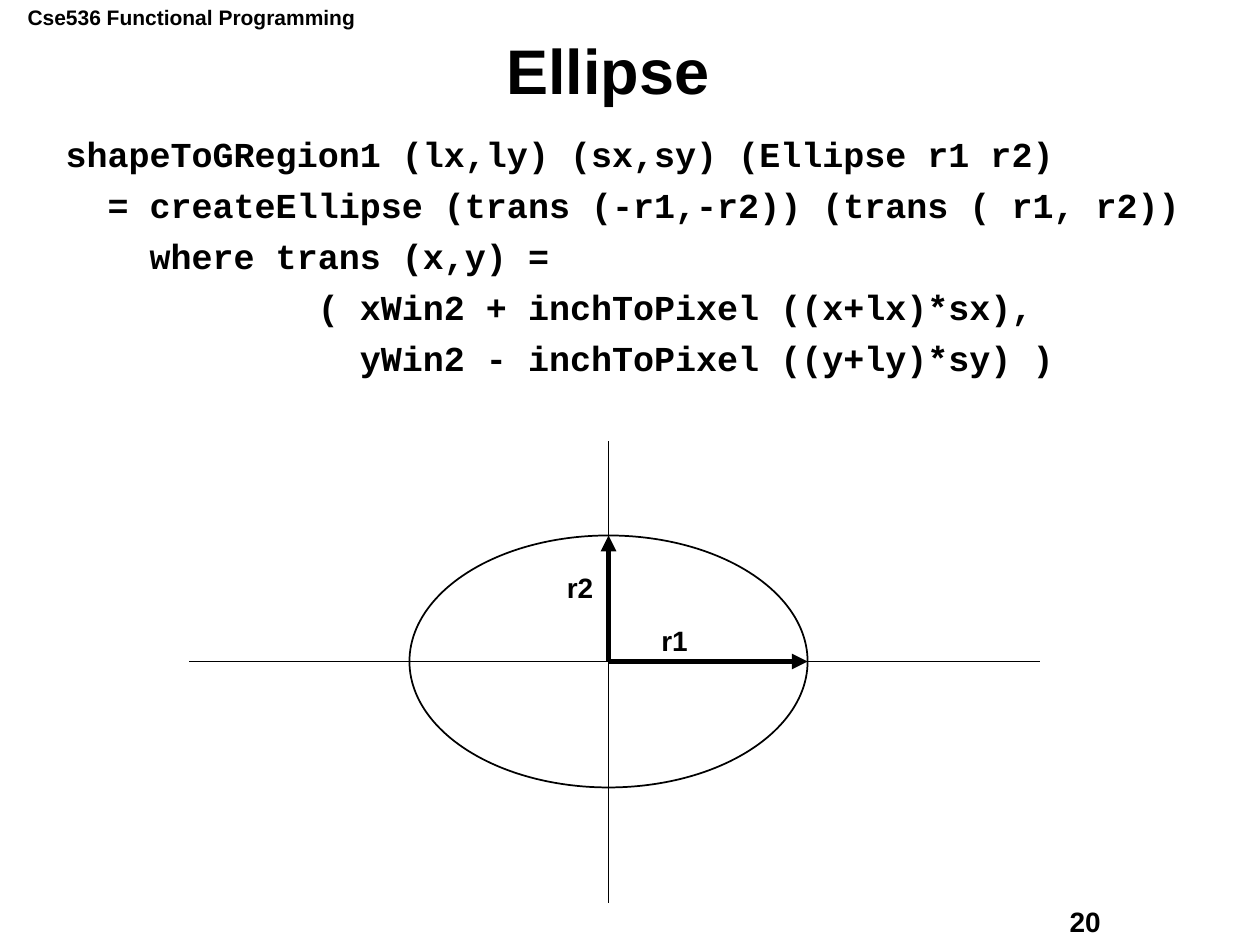
from lxml.etree import SubElement
from pptx import Presentation
from pptx.dml.color import RGBColor
from pptx.enum.shapes import MSO_CONNECTOR, MSO_SHAPE
from pptx.enum.text import MSO_ANCHOR, MSO_AUTO_SIZE, PP_ALIGN
from pptx.oxml.ns import qn
from pptx.util import Inches, Pt

BLACK = RGBColor(0, 0, 0)
CODE = [
    "shapeToGRegion1 (lx,ly) (sx,sy) (Ellipse r1 r2)",
    "  = createEllipse (trans (-r1,-r2)) (trans ( r1, r2))",
    "    where trans (x,y) =",
    "            ( xWin2 + inchToPixel ((x+lx)*sx),",
    "              yWin2 - inchToPixel ((y+ly)*sy) )",
]
CENTER_X, CENTER_Y = 4.83, 5.25
RADIUS_X, RADIUS_Y = 1.58, 1


class SlideBuilder:
    """Holds the style and the current slide, and draws each kind of element."""

    def __init__(self, presentation):
        self.slide = presentation.slides.add_slide(presentation.slide_layouts[1])
        self.diagram = self.slide.shapes.add_group_shape().shapes

    def apply(self, target, values):
        for name, value in values.items():
            setattr(target, name, value)

    def style_font(self, font, size, name="Arial"):
        self.apply(font, {"size": Pt(size), "name": name, "bold": True})
        font.color.rgb = BLACK

    def place(self, shape, left, top, width, height):
        self.apply(shape, {"left": Inches(left), "top": Inches(top),
                           "width": Inches(width), "height": Inches(height)})

    def title(self, text, box):
        shape = self.slide.shapes.title
        self.place(shape, *box)
        self.apply(shape.text_frame, {"text": text, "vertical_anchor": MSO_ANCHOR.MIDDLE,
                                      "auto_size": MSO_AUTO_SIZE.NONE})
        paragraph = shape.text_frame.paragraphs[0]
        self.apply(paragraph, {"alignment": PP_ALIGN.CENTER, "line_spacing": 0.9})
        self.style_font(paragraph.font, 36)

    def code(self, lines, box):
        shape = self.slide.placeholders[1]
        self.place(shape, *box)
        self.apply(shape.text_frame, {"text": "\n".join(lines),
                                      "auto_size": MSO_AUTO_SIZE.NONE})
        for index, paragraph in enumerate(shape.text_frame.paragraphs):
            self.apply(paragraph, {"line_spacing": 0.9,
                                   "space_before": Pt(7.5 if index else 0)})
            properties = paragraph._p.get_or_add_pPr()
            self.apply_indent(properties, 0.31)
            SubElement(properties, qn("a:buNone"))
            self.style_font(paragraph.font, 20, "Courier New")

    def apply_indent(self, properties, indent):
        properties.set("marL", str(Inches(indent)))
        properties.set("indent", str(-Inches(indent)))

    def label(self, shapes, text, box, size=16):
        shape = shapes.add_textbox(*map(Inches, box))
        self.apply(shape.text_frame, {"text": text, "word_wrap": False})
        self.style_font(shape.text_frame.paragraphs[0].font, size)

    def ellipse(self, box):
        shape = self.diagram.add_shape(MSO_SHAPE.OVAL, *map(Inches, box))
        shape.shadow.inherit = False
        shape.fill.background()
        self.style_line(shape.line, 1)

    def style_line(self, line, width):
        line.color.rgb = BLACK
        line.width = Pt(width)

    def line(self, start, end, width=1, arrow=False):
        connector = self.diagram.add_connector(
            MSO_CONNECTOR.STRAIGHT, *map(Inches, start + end))
        self.style_line(connector.line, width)
        if arrow:
            SubElement(connector.line._get_or_add_ln(), qn("a:tailEnd"), type="triangle")
        SubElement(connector._element.spPr, qn("a:effectLst"))


def main():
    presentation = Presentation()
    presentation.slide_width, presentation.slide_height = Inches(10), Inches(7.5)
    builder = SlideBuilder(presentation)
    page, diagram = builder.slide.shapes, builder.diagram

    builder.label(page, "Cse536 Functional Programming", (0.12, -0.01, 2.85, 0.3), 12)
    builder.label(page, "20", (8.39, 7.13, 1.27, 0.36))
    builder.title("Ellipse", (0.31, 0.31, 9.03, 0.56))
    builder.code(CODE, (0.42, 1.04, 9.25, 2.46))

    center = (CENTER_X, CENTER_Y)
    builder.line((1.5, CENTER_Y), (8.25, CENTER_Y))
    builder.line((CENTER_X, 3.5), (CENTER_X, 7.17))
    builder.ellipse((CENTER_X - RADIUS_X, CENTER_Y - RADIUS_Y, 2 * RADIUS_X, 2 * RADIUS_Y))
    builder.label(diagram, "r1", (5.15, 4.9, 0.41, 0.37))
    builder.label(diagram, "r2", (4.4, 4.48, 0.41, 0.37))
    builder.line(center, (CENTER_X, CENTER_Y - RADIUS_Y), 3, arrow=True)
    builder.line(center, (CENTER_X + RADIUS_X, CENTER_Y), 3, arrow=True)
    presentation.save("out.pptx")


if __name__ == "__main__":
    main()
